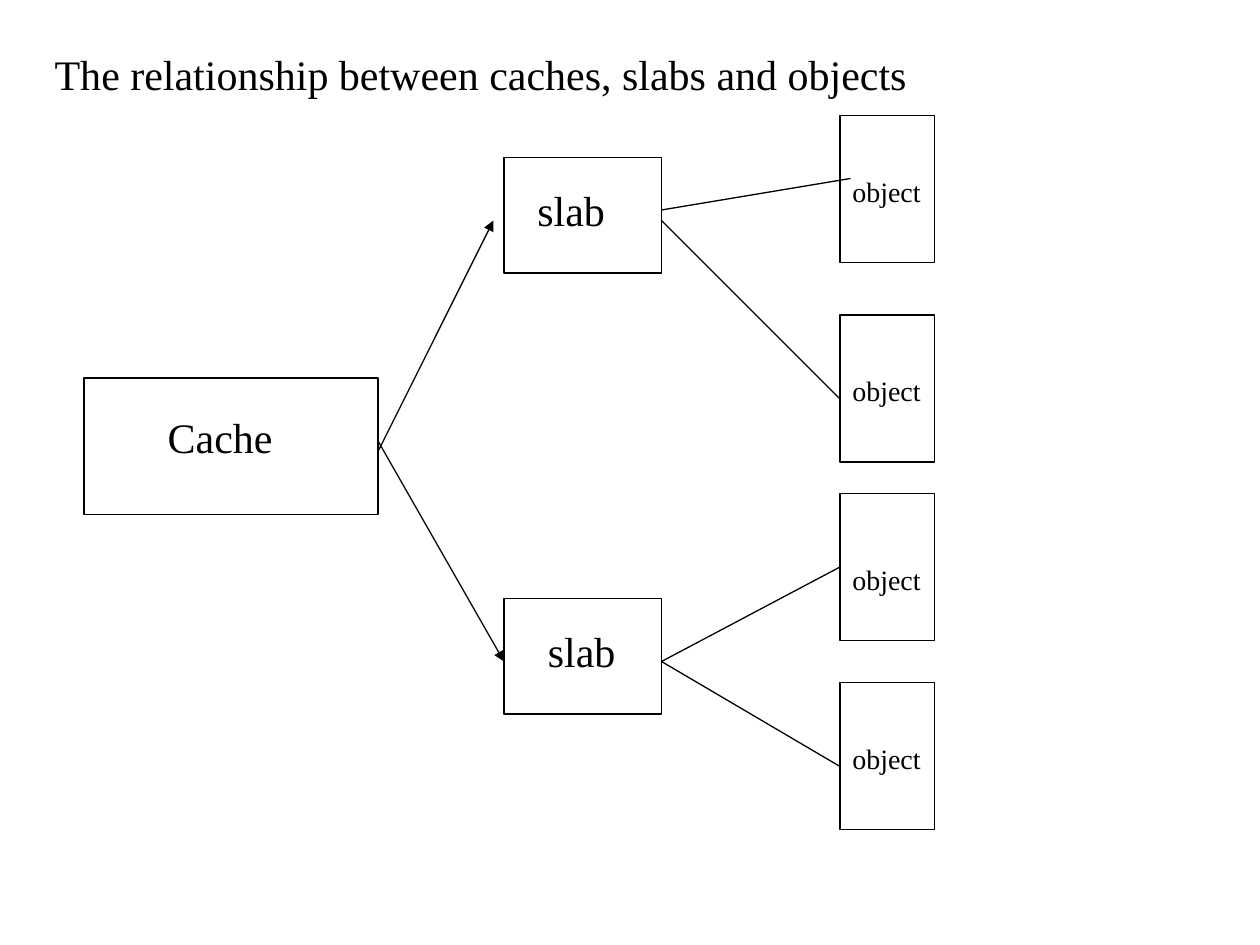
import pptx
import pptx.util
import pptx.dml.color
import pptx.enum.shapes
import pptx.enum.text
import pptx.oxml.ns
import lxml.etree

Pt = pptx.util.Pt
FONT = "Times New Roman"
BLACK = "000000"

TITLE = ("The relationship between caches, slabs and objects", 24, (24, 24, 504, 36))

CACHE_SIZE, SLAB_SIZE, OBJECT_SIZE = (168, 78), (90, 66), (54, 84)
SLAB_LEFT, OBJECT_LEFT = 288, 480
SLAB_RIGHT = SLAB_LEFT + SLAB_SIZE[0]

BOXES = [((48, 216), CACHE_SIZE)]
BOXES += [((SLAB_LEFT, top), SLAB_SIZE) for top in (90, 342)]
BOXES += [((OBJECT_LEFT, top), OBJECT_SIZE) for top in (66, 180, 282, 390)]

LABELS = [
    ("Cache", 24, (88.75, 231.5, 76, 36)),
    ("slab", 24, (300, 102, 55, 36)),
    ("slab", 24, (306, 354, 55, 36)),
]
LABELS += [("object", 16, (OBJECT_LEFT, top, 54, 26.5)) for top in (96, 210, 318, 420)]

ARROWS = [
    ((216, 258), (282, 126)),
    ((216, 252), (SLAB_LEFT, 378)),
]
LINKS = [
    ((SLAB_RIGHT, 120), (486, 102)),
    ((SLAB_RIGHT, 126), (OBJECT_LEFT, 228)),
    ((SLAB_RIGHT, 378), (OBJECT_LEFT, 324)),
    ((SLAB_RIGHT, 378), (OBJECT_LEFT, 438)),
]


def color(value):
    return pptx.dml.color.RGBColor.from_string(value)


def format_line(line):
    line.color.rgb = color(BLACK)
    line.width = Pt(0.75)


def write_text(shape, text, size, frame):
    shape.left, shape.top, shape.width, shape.height = map(Pt, frame)
    text_frame = shape.text_frame
    text_frame.text = text
    text_frame.word_wrap = False
    text_frame.auto_size = pptx.enum.text.MSO_AUTO_SIZE.SHAPE_TO_FIT_TEXT
    text_frame.vertical_anchor = pptx.enum.text.MSO_ANCHOR.TOP
    text_frame.margin_left = text_frame.margin_right = Pt(7.2)
    text_frame.margin_top = text_frame.margin_bottom = Pt(3.6)
    paragraph = text_frame.paragraphs[0]
    paragraph.alignment = pptx.enum.text.PP_ALIGN.LEFT
    paragraph.line_spacing = 1.0
    paragraph.space_before = Pt(0)
    font = paragraph.runs[0].font
    font.name = FONT
    font.size = Pt(size)
    font.color.rgb = color(BLACK)


def add_box(slide, position, size):
    shape = slide.shapes.add_shape(
        pptx.enum.shapes.MSO_SHAPE.RECTANGLE, *map(Pt, position + size))
    shape.shadow.inherit = False
    shape.fill.background()
    format_line(shape.line)


def add_line(slide, start, end, arrow=False):
    connector = slide.shapes.add_connector(
        pptx.enum.shapes.MSO_CONNECTOR.STRAIGHT, *map(Pt, start + end))
    format_line(connector.line)
    qualified = pptx.oxml.ns.qn
    if arrow:
        line = connector.line._get_or_add_ln()
        lxml.etree.SubElement(line, qualified("a:tailEnd"), type="triangle")
    lxml.etree.SubElement(connector._element.spPr, qualified("a:effectLst"))


def main():
    presentation = pptx.Presentation()
    presentation.slide_width, presentation.slide_height = Pt(720), Pt(540)
    slide = presentation.slides.add_slide(presentation.slide_layouts[5])
    write_text(slide.shapes.title, *TITLE)
    for position, size in BOXES:
        add_box(slide, position, size)
    for start, end in ARROWS:
        add_line(slide, start, end, arrow=True)
    for start, end in LINKS:
        add_line(slide, start, end)
    for text, size, frame in LABELS:
        write_text(slide.shapes.add_textbox(0, 0, 0, 0), text, size, frame)
    presentation.save("out.pptx")


if __name__ == "__main__":
    main()
